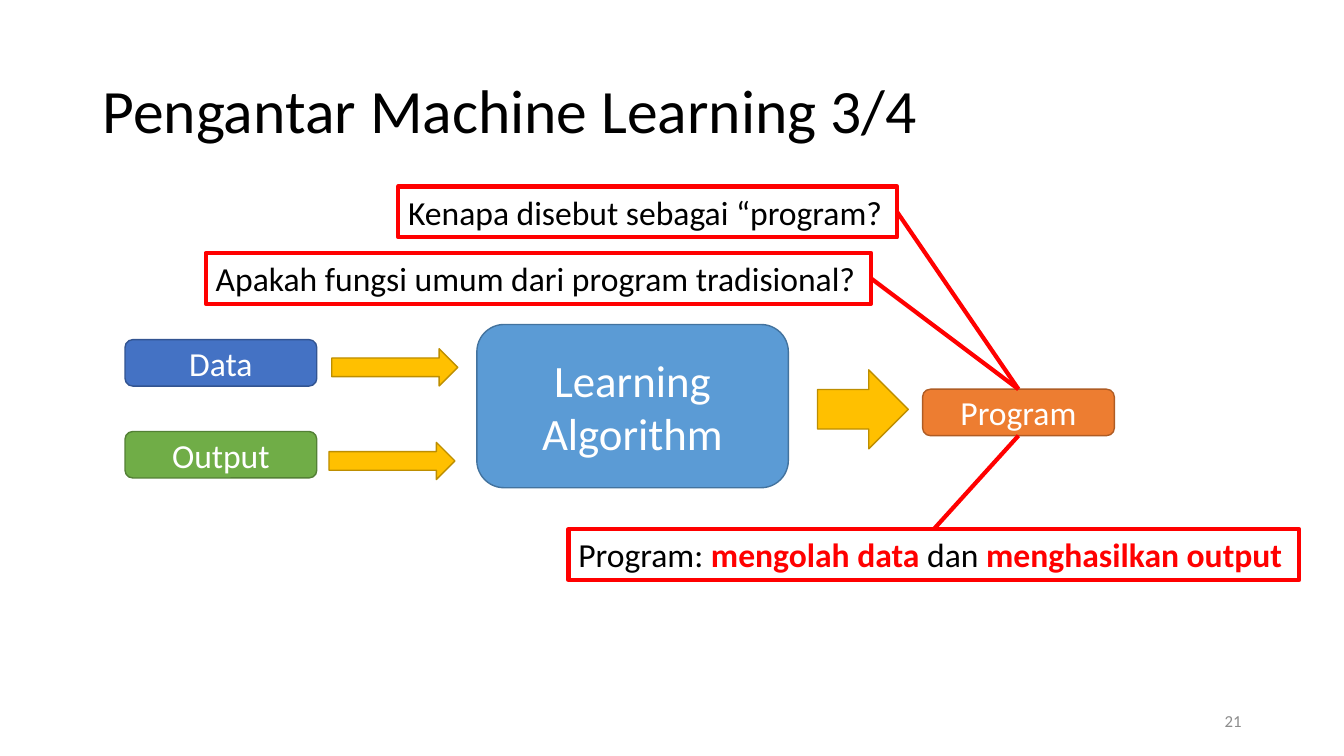
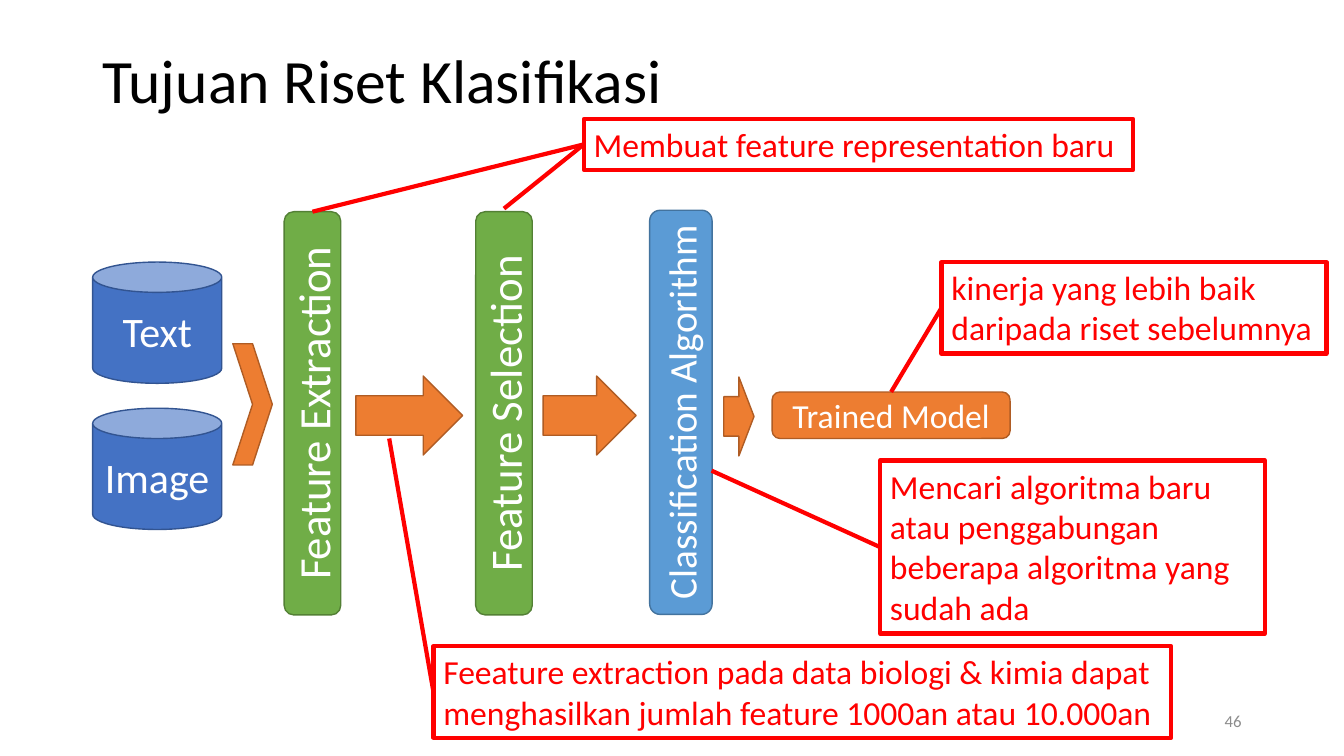
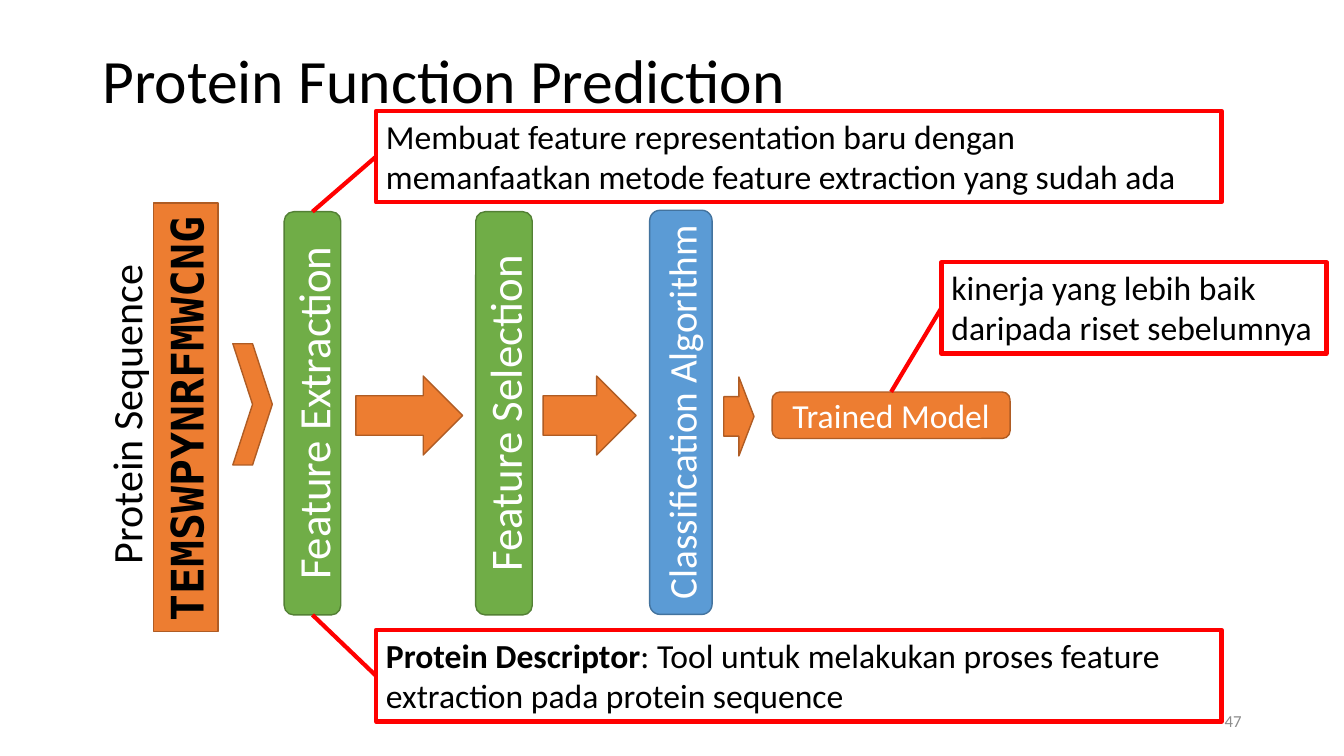
from lxml import etree
from pptx import Presentation
from pptx import util as u
from pptx.dml.color import RGBColor
from pptx.enum import shapes, text
from pptx.oxml import ns

BLACK = RGBColor(0x00, 0x00, 0x00)
WHITE = RGBColor(0xFF, 0xFF, 0xFF)
RED = RGBColor(0xFF, 0x00, 0x00)
GREY = RGBColor(0x8C, 0x8C, 0x8C)

# Fill and outline pairs
BLUE = (RGBColor(0x44, 0x72, 0xC4), RGBColor(0x32, 0x54, 0x91))
GREEN = (RGBColor(0x70, 0xAD, 0x47), RGBColor(0x53, 0x80, 0x35))
ORANGE = (RGBColor(0xED, 0x7D, 0x31), RGBColor(0xAF, 0x5C, 0x24))
GOLD = (RGBColor(0xFF, 0xC0, 0x00), RGBColor(0xBD, 0x8E, 0x00))
SKY = (RGBColor(0x5B, 0x9B, 0xD5), RGBColor(0x43, 0x73, 0x9E))
CALLOUT = (None, RED)
PLAIN = (None, None)

FONT = "Calibri"
MONO = "DejaVu Sans Mono"
PRESET = shapes.MSO_SHAPE
ROUND, ARROW = PRESET.ROUNDED_RECTANGLE, PRESET.RIGHT_ARROW
TEXT_BOX = None
TOP, LEFT, BOTTOM, RIGHT = range(4)


def add_block(page, preset, at, look, label="", size=24, colour=WHITE,
              rotation=0, font=FONT, bold=False):
    """Add a shape or text box; label is a string or (text, bold, colour) runs."""
    place = [u.Pt(value) for value in at]
    fill, edge = look
    if preset is TEXT_BOX:
        box = page.shapes.add_textbox(*place)
    else:
        box = page.shapes.add_shape(preset, *place)
        box.shadow.inherit = False
    box.rotation = rotation
    if fill is not None:
        box.fill.solid()
        box.fill.fore_color.rgb = fill
    if edge is not None:
        box.line.color.rgb = edge
        box.line.width = u.Pt(3 if edge == RED else 1)
    frame = box.text_frame
    frame.word_wrap = True
    if preset is not TEXT_BOX:
        frame.vertical_anchor = text.MSO_ANCHOR.MIDDLE
        frame.paragraphs[0].alignment = text.PP_ALIGN.CENTER
    elif not rotation:
        frame.auto_size = text.MSO_AUTO_SIZE.SHAPE_TO_FIT_TEXT
    parts = [(label, bold, colour)] if isinstance(label, str) else label
    for words, heavy, ink in parts:
        if words:
            span = frame.paragraphs[0].add_run()
            span.text = words
            span.font.name = font
            span.font.size = u.Pt(size)
            span.font.bold = heavy
            span.font.color.rgb = ink
    return box


def add_link(page, box, side, target, target_side=None):
    """Draw a red line from a box side to another box side or to an (x, y) point."""
    points = []
    for item, site in ((box, side), (target, target_side)):
        if site is None:
            points += [u.Pt(value) for value in item]
            continue
        dx, dy = ((0, -item.height), (-item.width, 0),
                  (0, item.height), (item.width, 0))[site]
        if item.rotation == 270:
            dx, dy = dy, -dx
        points += [item.left + (item.width + dx) // 2 if not item.rotation
                   else item.left + item.width // 2 + dx // 2,
                   item.top + item.height // 2 + dy // 2]
    line = page.shapes.add_connector(shapes.MSO_CONNECTOR.STRAIGHT, *points)
    line.line.color.rgb = RED
    line.line.width = u.Pt(3)
    etree.SubElement(line._element.spPr, ns.qn("a:effectLst"))
    line.begin_connect(box, side)
    if target_side is not None:
        line.end_connect(target, target_side)
    # Joining ignores rotation, so the computed ends are set again
    line.begin_x, line.begin_y, line.end_x, line.end_y = points


deck = Presentation()
deck.slide_width, deck.slide_height = u.Pt(960), u.Pt(540)

# Titles and page numbers
pages = []
for title, title_height, number in (
        ("Pengantar Machine Learning 3/4", 104.4, "21"),
        ("Tujuan Riset Klasifikasi", 61.2, "46"),
        ("Protein Function Prediction", 61.2, "47")):
    page = deck.slides.add_slide(deck.slide_layouts[5])
    pages.append(page)
    head = page.shapes.title
    head.left, head.top = u.Pt(66), u.Pt(28.8)
    head.width, head.height = u.Pt(828), u.Pt(title_height)
    footer = page.shapes.add_textbox(u.Pt(678), u.Pt(500.4), u.Pt(216), u.Pt(28.8))
    for box, words, size, ink, align in (
            (head, title, 44, BLACK, text.PP_ALIGN.LEFT),
            (footer, number, 12, GREY, text.PP_ALIGN.RIGHT)):
        frame = box.text_frame
        frame.text = words
        frame.word_wrap = True
        frame.auto_size = text.MSO_AUTO_SIZE.NONE
        frame.vertical_anchor = text.MSO_ANCHOR.MIDDLE
        para = frame.paragraphs[0]
        para.alignment = align
        para.line_spacing = 0.9 if box is head else 1.0
        font = para.runs[0].font
        font.name, font.size = FONT, u.Pt(size)
        font.color.rgb = ink
intro, research, protein = pages

# Learning diagram
for name, look, top, arrow_left, arrow_top in (
        ("Data", BLUE, 242.6, 237, 249.1),
        ("Output", GREEN, 308.2, 235, 316)):
    add_block(intro, ROUND, (89.3, top, 137, 33.2), look, name)
    add_block(intro, ARROW, (arrow_left, arrow_top, 90, 26.6), GOLD)
add_block(intro, ROUND, (340.6, 231.8, 222.5, 116.6), SKY, "Learning Algorithm", 32)
add_block(intro, ARROW, (584, 264.2, 64.8, 56.4), GOLD)
program = add_block(intro, ROUND, (659, 278, 137, 33.2), ORANGE, "Program")

# Questions about the program
answer = [("Program: ", False, BLACK), ("mengolah data ", True, RED),
          ("dan ", False, BLACK), ("menghasilkan output", True, RED)]
for at, label, side, program_side in (
        ((284.4, 133.2, 356.4, 36.35), "Kenapa disebut sebagai “program?", RIGHT, TOP),
        ((147, 180.7, 475.2, 36.35), "Apakah fungsi umum dari program tradisional?",
         RIGHT, TOP),
        ((406, 378, 522, 36.35), answer, TOP, BOTTOM)):
    note = add_block(intro, TEXT_BOX, at, CALLOUT, label, colour=BLACK)
    add_link(intro, note, side, program, program_side)

# Classification pipeline on both research slides
extractions = []
for page, ink in ((research, RED), (protein, BLACK)):
    add_block(page, PRESET.CHEVRON, (166.3, 245.5, 28.2, 86.6), ORANGE)
    for at in ((254.2, 268.6, 76.3, 56.4), (388, 268.6, 66.4, 56.4),
               (517, 269.3, 21.6, 56.4)):
        add_block(page, ARROW, at, ORANGE)
    extractions.append(add_block(page, ROUND, (79.2, 275, 288, 40.4), GREEN,
                                 "Feature Extraction", 32, rotation=270))
    add_block(page, ROUND, (216, 275, 288, 40.4), GREEN,
              "Feature Selection", 32, rotation=270)
    add_block(page, ROUND, (342, 272.2, 288.7, 44.6), SKY,
              "Classification Algorithm", 28, rotation=270)
    model = add_block(page, ROUND, (551.5, 280, 170, 33.2), ORANGE, "Trained Model")
    note = add_block(page, TEXT_BOX, (672.5, 187.2, 275, 65.4), CALLOUT,
                     "kinerja yang lebih baik daripada riset sebelumnya", colour=ink)
    add_link(page, note, LEFT, model, TOP)

# Research inputs and goals
for name, top in (("Text", 187.2), ("Image", 291.6)):
    add_block(research, PRESET.CAN, (66.2, top, 92.2, 86.6), BLUE, name, 30)
for at, label, targets in (
        ((417, 85, 392.4, 36.35), "Membuat feature representation baru",
         [((360, 149), None), (extractions[0], RIGHT)]),
        ((309.6, 461.5, 527, 65.4),
         "Feeature extraction pada data biologi & kimia dapat "
         "menghasilkan jumlah feature 1000an atau 10.000an",
         [((278, 313.2), None)]),
        ((628.6, 329, 275, 123.6),
         "Mencari algoritma baru atau penggabungan beberapa algoritma yang sudah ada",
         [((508.3, 336.2), None)])):
    note = add_block(research, TEXT_BOX, at, CALLOUT, label, colour=RED)
    for target, side in targets:
        add_link(research, note, LEFT, target, side)

# Protein sequence input
add_block(protein, TEXT_BOX, (-20.2, 275, 306, 46), ORANGE, "TEMSWPYNRFMWCNG", 32,
          BLACK, 270, MONO, True)
add_block(protein, TEXT_BOX, (-25.2, 273, 230.4, 43.8), PLAIN, "Protein Sequence", 30,
          BLACK, 270)

# Protein notes: the turned bar has its right side on top and its left side below
descriptor = [("Protein Descriptor", True, BLACK),
              (": Tool untuk melakukan proses feature extraction pada protein sequence",
               False, BLACK)]
for top, label, side in (
        (79.2, "Membuat feature representation baru dengan memanfaatkan metode "
               "feature extraction yang sudah ada", RIGHT),
        (450, descriptor, LEFT)):
    note = add_block(protein, TEXT_BOX, (268.6, top, 604, 65.4), CALLOUT, label,
                     colour=BLACK)
    add_link(protein, note, LEFT, extractions[1], side)

deck.save("out.pptx")
